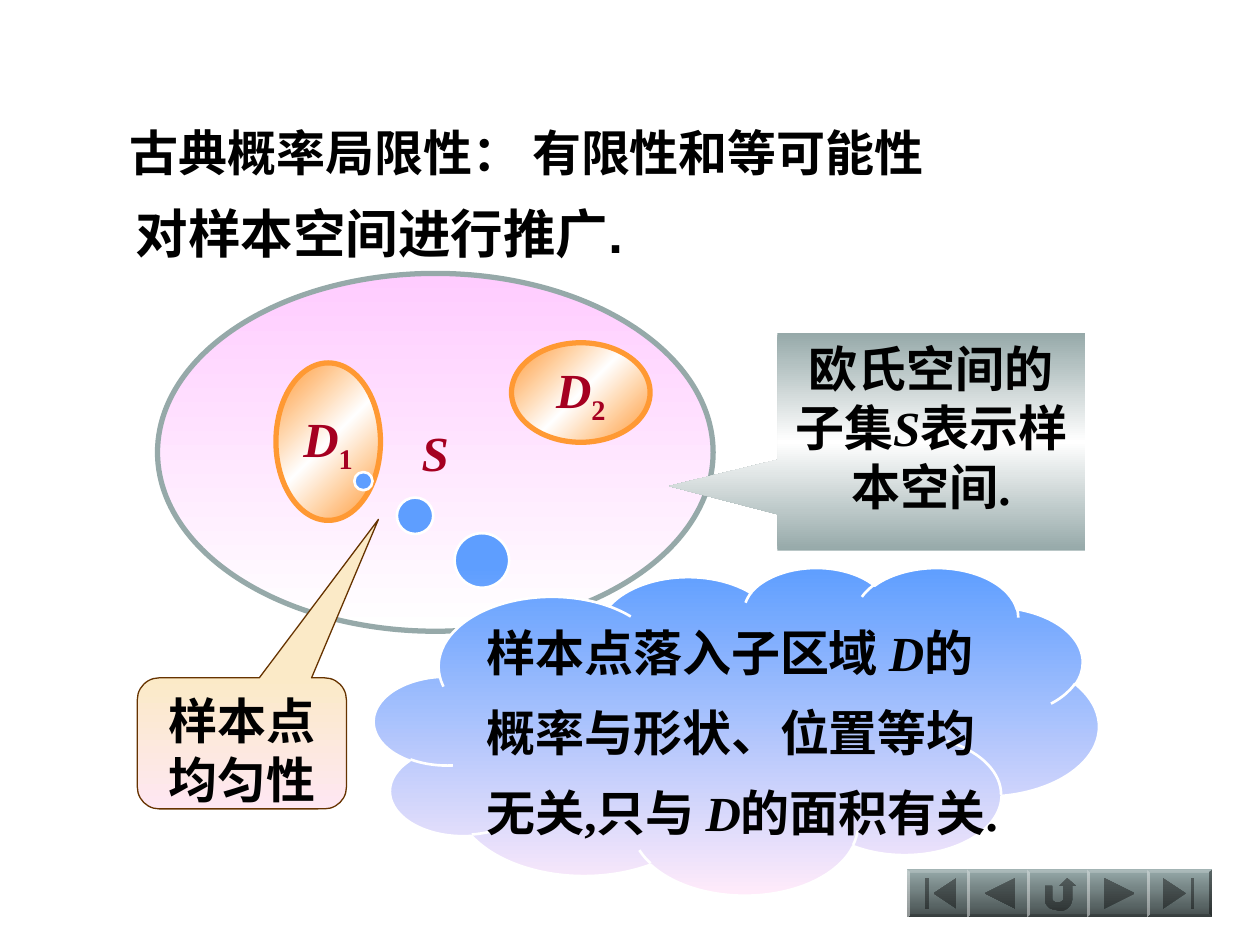
from copy import deepcopy
from dataclasses import dataclass
from math import cos, radians, sin

from pptx import Presentation
from pptx.dml.color import RGBColor
from pptx.enum.shapes import MSO_SHAPE
from pptx.enum.text import MSO_ANCHOR, MSO_AUTO_SIZE, PP_ALIGN
from pptx.oxml.ns import qn
from pptx.util import Inches, Pt

ELLIPSE = MSO_SHAPE.OVAL
RECT_CALLOUT = MSO_SHAPE.RECTANGULAR_CALLOUT
CLOUD_CALLOUT = MSO_SHAPE.CLOUD_CALLOUT
ROUND_CALLOUT = MSO_SHAPE.ROUNDED_RECTANGULAR_CALLOUT
LEFT, CENTER = PP_ALIGN.LEFT, PP_ALIGN.CENTER
TOP, MIDDLE = MSO_ANCHOR.TOP, MSO_ANCHOR.MIDDLE
GROW = MSO_AUTO_SIZE.SHAPE_TO_FIT_TEXT


@dataclass(frozen=True)
class Theme:
    heading_font: str = "Arial"
    body_font: str = "Times New Roman"
    body_size: int = 28
    large_size: int = 30
    ink: str = "000000"
    symbol: str = "A50021"
    slate: str = "96A9A9"
    orange: str = "FF9933"
    white: str = "FFFFFF"
    brown: str = "663300"
    space_fill: tuple = ("FFCCFF", "FFFFFF")
    region_fill: tuple = ("FF9933", "FFFFFF", "FF9933")
    note_fill: tuple = ("96A9A9", "FFFFFF", "96A9A9")
    cloud_fill: tuple = ("5E9EFF", "FFEBFA")
    uniform_fill: tuple = ("FBEAC7", "FEE7F2")
    button_fill: tuple = ("96A9A9", "454E4E")


THEME = Theme()
ITALIC = {"italic": True}
SUBSCRIPT = {"baseline": -25000}


def write_text(shape, paragraphs, color=THEME.ink, font=THEME.body_font,
               size=THEME.body_size, align=LEFT, anchor=TOP, wrap=True, gap=0):
    frame = shape.text_frame
    frame.word_wrap = wrap
    frame.vertical_anchor = anchor
    margins = {"margin_left": 0.1, "margin_right": 0.1,
               "margin_top": 0.05, "margin_bottom": 0.05}
    for name, value in margins.items():
        setattr(frame, name, Inches(value))
    for index, spans in enumerate(paragraphs):
        para = frame.add_paragraph() if index else frame.paragraphs[0]
        para.alignment = align
        if index:
            para.space_before = Pt(gap)
        for text, extra in spans:
            span = para.add_run()
            span.text = text
            formats = {"name": font, "size": Pt(size), "bold": True,
                       "italic": extra.get("italic", False)}
            for name, value in formats.items():
                setattr(span.font, name, value)
            span.font.color.rgb = RGBColor.from_string(color)
            if "baseline" in extra:
                span.font._element.set("baseline", str(extra["baseline"]))


def fill_gradient(shape, colors, angle=90):
    shape.shadow.inherit = False
    shape.fill.gradient()
    shape.fill.gradient_angle = 360 - angle
    stop_list = shape._element.spPr.find(".//" + qn("a:gsLst"))
    for _ in colors[2:]:
        stop_list.append(deepcopy(stop_list[0]))
    for index, (stop, color) in enumerate(zip(shape.fill.gradient_stops, colors)):
        stop.color.rgb = RGBColor.from_string(color)
        stop.position = index / (len(colors) - 1)


def add_heading(page, place, text, size, wrap):
    box = page.shapes.add_textbox(*map(Inches, place))
    write_text(box, [[(text, {})]], font=THEME.heading_font, size=size, wrap=wrap)
    box.text_frame.auto_size = GROW


def add_figure(page, kind, place, colors, paragraphs, angle=90, line=None,
               adjust=(), **text_format):
    shape = page.shapes.add_shape(kind, *map(Inches, place))
    for index, value in enumerate(adjust):
        shape.adjustments[index] = value
    fill_gradient(shape, colors, angle)
    if line:
        shape.line.color.rgb = RGBColor.from_string(line[0])
        shape.line.width = Pt(line[1])
    else:
        shape.line.fill.background()
    write_text(shape, paragraphs, **text_format)


def arc(center_x, center_y, radius, start, end):
    angles = [start + (end - start) * step / 6 for step in range(7)]
    return [(center_x + radius * cos(radians(angle)),
             center_y + radius * sin(radians(angle))) for angle in angles]


def mirror(glyph):
    return [[(-x, y) for x, y in outline] for outline in glyph]


def button_glyphs():
    begin = [[(-0.05, 0), (0.13, -0.12), (0.13, 0.12)],
             [(-0.12, -0.12), (-0.09, -0.12), (-0.09, 0.12), (-0.12, 0.12)]]
    back = [[(-0.12, 0), (0.12, -0.12), (0.12, 0.12)]]
    turn = [[(-0.12, -0.06), (-0.06, -0.06),
             *arc(-0.03, 0.04, 0.03, 180, 90), *arc(0, 0.04, 0.03, 90, 0),
             (0.03, -0.06), (0, -0.06), (0.06, -0.12), (0.13, -0.06), (0.1, -0.06),
             *arc(0, 0.04, 0.1, 0, 90), *arc(-0.03, 0.04, 0.09, 90, 180)]]
    return [begin, back, turn, mirror(back), mirror(begin)]


def add_button(page, left, top, glyph):
    width, height, bevel = 0.52, 0.38, 0.025
    outer = [(0, 0), (width, 0), (width, height), (0, height)]
    inner = [(abs(x - bevel), abs(y - bevel)) for x, y in outer]
    edges = [[outer[i], outer[(i + 1) % 4], inner[(i + 1) % 4], inner[i]]
             for i in range(4)]
    symbol = [[(width / 2 + x, height / 2 + y) for x, y in outline]
              for outline in glyph]
    outlines = [outer, *edges, *symbol]
    shades = ["norm", "lightenLess", "darken", "darkenLess", "lighten"]
    shades += ["darken"] * len(symbol)

    points = [[(Inches(left + x), Inches(top + y)) for x, y in outline]
              for outline in outlines]
    builder = page.shapes.build_freeform(*points[0][0])
    for index, outline in enumerate(points):
        if index:
            builder.move_to(*outline[0])
        builder.add_line_segments(outline[1:], close=True)
    button = builder.convert_to_shape()
    fill_gradient(button, THEME.button_fill)
    button.line.fill.background()
    split_shades(button, shades)


def split_shades(shape, shades):
    joined = shape._element.spPr.find(".//" + qn("a:path"))
    path_list = joined.getparent()
    remaining = iter(shades)
    for segment in list(joined):
        if segment.tag == qn("a:moveTo"):
            part = deepcopy(joined)
            for child in list(part):
                part.remove(child)
            part.set("fill", next(remaining))
            path_list.append(part)
        part.append(segment)
    path_list.remove(joined)


def main():
    deck = Presentation()
    deck.slide_width, deck.slide_height = Inches(10), Inches(7.5)
    page = deck.slides.add_slide(deck.slide_layouts[6])

    add_heading(page, (0.93, 0.92, 8.92, 0.57),
                "古典概率局限性： 有限性和等可能性", THEME.body_size, True)
    add_heading(page, (0.98, 1.55, 4.16, 0.6),
                "对样本空间进行推广.", THEME.large_size, False)

    symbol = {"color": THEME.symbol, "align": CENTER, "anchor": MIDDLE, "wrap": False}
    region = {"angle": 45, "line": (THEME.orange, 3), **symbol}
    add_figure(page, ELLIPSE, (1.25, 2.17, 4.41, 2.84), THEME.space_fill,
               [[("S", ITALIC)]], line=(THEME.slate, 3), **symbol)
    add_figure(page, ELLIPSE, (2.19, 2.88, 0.83, 1.25), THEME.region_fill,
               [[("D", ITALIC), ("1", SUBSCRIPT)]], **region)
    add_figure(page, RECT_CALLOUT, (6.17, 2.64, 2.44, 1.73), THEME.note_fill,
               [[("欧氏空间的子集", {}), ("S", ITALIC), ("表示样本空间.", {})]],
               adjust=(-0.853, 0.204), align=CENTER)
    add_figure(page, ELLIPSE, (4.06, 2.72, 1.1, 0.79), THEME.region_fill,
               [[("D", ITALIC), ("2", SUBSCRIPT)]], **region)
    add_figure(page, CLOUD_CALLOUT, (2.97, 4.5, 5.75, 2.6), THEME.cloud_fill,
               [[("样本点落入子区域 ", {}), ("D", ITALIC), ("的", {})],
                [("概率与形状、位置等均", {})],
                [("无关,只与 ", {}), ("D", ITALIC), ("的面积有关.", {})]],
               line=(THEME.white, 1.5), adjust=(-0.515, -0.762), wrap=False, gap=12)
    add_figure(page, ROUND_CALLOUT, (1.09, 5.38, 1.66, 1.04), THEME.uniform_fill,
               [[("样本点均匀性", {})]], line=(THEME.brown, 0.75),
               adjust=(0.653, -1.709, 0.167), align=CENTER)

    for index, glyph in enumerate(button_glyphs()):
        add_button(page, 7.2 + 0.475 * index, 6.9, glyph)
    deck.save("out.pptx")


if __name__ == "__main__":
    main()
